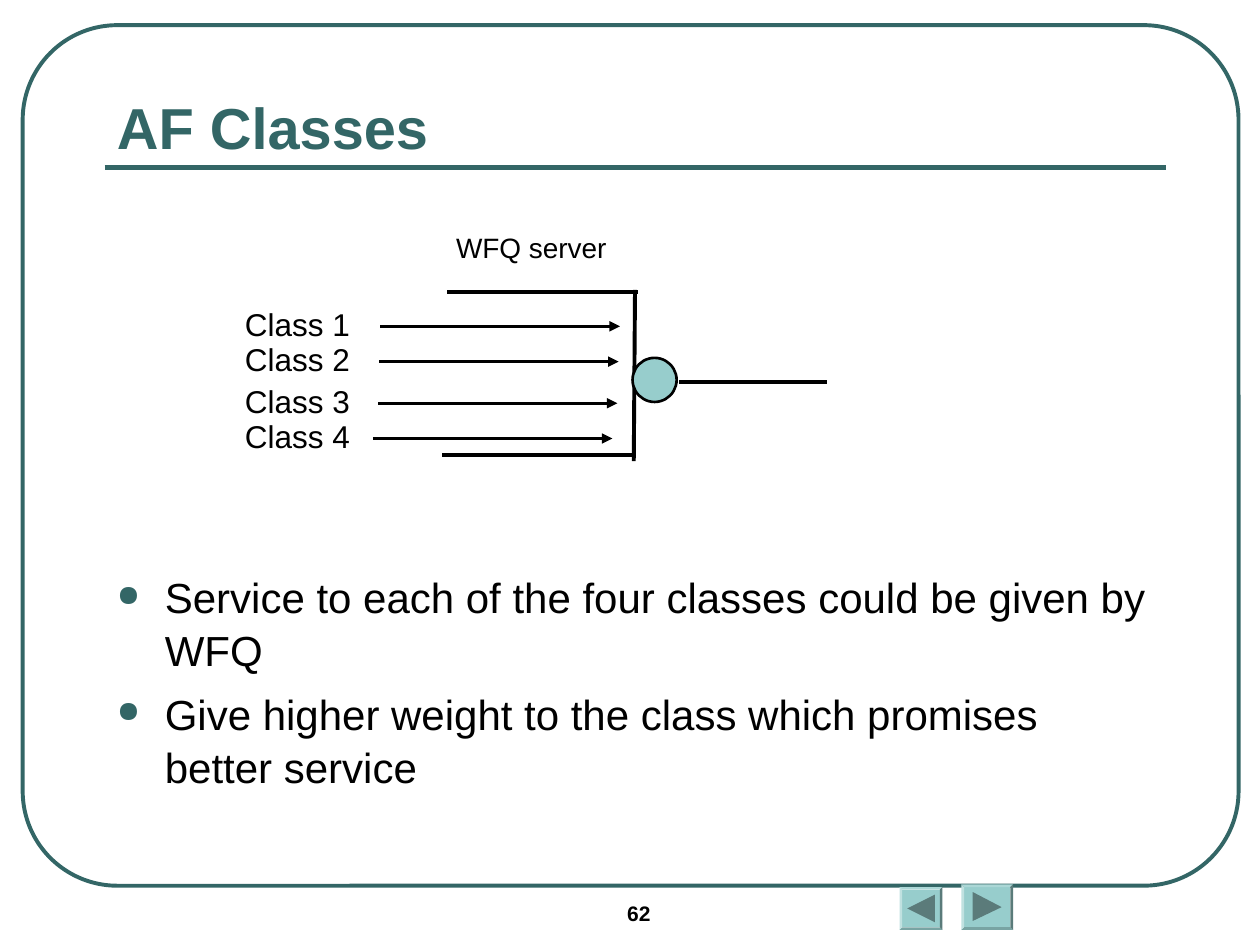
from lxml.etree import SubElement
from pptx import Presentation
from pptx.dml.color import RGBColor
from pptx.enum.shapes import MSO_CONNECTOR, MSO_SHAPE
from pptx.enum.text import MSO_ANCHOR as ANCHOR, PP_ALIGN as ALIGN
from pptx.oxml.ns import qn
from pptx.util import Inches, Pt

COLORS = {"teal": "336666", "aqua": "97CDCC", "icon": "5B7B7A", "ink": "000000"}
COLS, ROWS = 100, 75


def rgb(name):
    return RGBColor.from_string(COLORS[name])


class Deck:
    font = "Arial"

    def __init__(self, width, height):
        self.prs = Presentation()
        self.prs.slide_width = Inches(width)
        self.prs.slide_height = Inches(height)
        self.s = self.prs.slides.add_slide(self.prs.slide_layouts[6])

    def x(self, cols):
        return round(self.prs.slide_width * cols / COLS)

    def y(self, rows):
        return round(self.prs.slide_height * rows / ROWS)

    def box(self, left, top, width, height):
        return self.x(left), self.y(top), self.x(width), self.y(height)

    def paint(self, sp, fill=None, line=None, weight=1.5):
        sp.shadow.inherit = False
        if fill:
            sp.fill.solid()
            sp.fill.fore_color.rgb = rgb(fill)
        else:
            sp.fill.background()
        if line:
            sp.line.color.rgb = rgb(line)
            sp.line.width = Pt(weight)
        else:
            sp.line.fill.background()

    def shape(self, kind, box, adj=None, **style):
        sp = self.s.shapes.add_shape(kind, *self.box(*box))
        if adj is not None:
            sp.adjustments[0] = adj
        self.paint(sp, **style)

    def polygon(self, points, **style):
        start, *rest = [(self.x(a), self.y(b)) for a, b in points]
        builder = self.s.shapes.build_freeform(*start)
        builder.add_line_segments(rest, close=True)
        self.paint(builder.convert_to_shape(), **style)

    def line(self, x1, y1, x2, y2, color="ink", weight=2.25, arrow=False):
        cn = self.s.shapes.add_connector(
            MSO_CONNECTOR.STRAIGHT, self.x(x1), self.y(y1), self.x(x2), self.y(y2))
        cn.line.color.rgb = rgb(color)
        cn.line.width = Pt(weight)
        if arrow:
            SubElement(cn.line._get_or_add_ln(), qn("a:tailEnd"), type="triangle")
        SubElement(cn._element.spPr, qn("a:effectLst"))

    def bullet(self, p):
        pPr = p._p.get_or_add_pPr()
        pPr.set("marL", str(Inches(0.38)))
        pPr.set("indent", str(-Inches(0.38)))
        color = SubElement(pPr, qn("a:buClr"))
        SubElement(color, qn("a:srgbClr"), val=COLORS["teal"])
        SubElement(pPr, qn("a:buSzPct"), val="70000")
        SubElement(pPr, qn("a:buChar"), char="●")

    def text(self, box, lines, size, color="ink", bold=False, align=ALIGN.LEFT,
             anchor=ANCHOR.TOP, inset=True, wrap=True, bullets=False):
        tf = self.s.shapes.add_textbox(*self.box(*box)).text_frame
        tf.word_wrap = wrap
        tf.vertical_anchor = anchor
        if not inset:
            tf.margin_left = tf.margin_right = tf.margin_top = tf.margin_bottom = 0
        for i, line in enumerate(lines):
            p = tf.add_paragraph() if i else tf.paragraphs[0]
            p.alignment = align
            if bullets:
                p.line_spacing = 1.05
                p.space_before = Pt(6)
                self.bullet(p)
            r = p.add_run()
            r.text = line
            r.font.name = self.font
            r.font.size = Pt(size)
            r.font.bold = bold
            r.font.color.rgb = rgb(color)

    def button(self, box, icon):
        self.shape(MSO_SHAPE.BEVEL, box, adj=0.06, fill="aqua")
        self.polygon(icon, fill="icon")


def main():
    d = Deck(10, 7.5)
    d.shape(MSO_SHAPE.ROUNDED_RECTANGLE, (1.8, 2, 96.5, 68.3), adj=0.11,
            line="teal", weight=2.25)
    d.line(8.3, 13.3, 92.5, 13.3, color="teal", weight=3)
    d.button((71.4, 70.4, 3.4, 3.4), [(72, 72.1), (74.2, 71), (74.2, 73.2)])
    d.button((76.3, 70.2, 4.1, 3.6), [(77.2, 70.8), (79.5, 72), (77.2, 73.1)])
    d.text((48.8, 71, 11.7, 3.3), ["62"], 12, bold=True)
    d.text((8.3, 5.8, 84.2, 7.5), ["AF Classes"], 33, color="teal", bold=True,
           anchor=ANCHOR.BOTTOM)
    d.text((8.3, 44.7, 84.2, 20.3),
           ["Service to each of the four classes could be given by WFQ",
            "Give higher weight to the class which promises better service"],
           24, bullets=True)

    d.text((36.2, 18.3, 12, 2.7), ["WFQ server"], 16, inset=False, wrap=False)
    d.line(35.5, 23.2, 50.6, 23.2)
    d.line(35.1, 36.1, 50.2, 36.1)
    d.line(50.4, 23, 50.3, 36.6)
    d.shape(MSO_SHAPE.OVAL, (50.2, 28.4, 3.5, 3.5), fill="aqua", line="ink")
    d.line(53.9, 30.3, 65.6, 30.3)

    queues = [(24.2, 30.2), (27, 30.1), (30.3, 30), (33.1, 29.6)]
    for number, (top, start) in enumerate(queues, 1):
        d.text((17.7, top, 11.8, 3), [f"Class {number}"], 18,
               align=ALIGN.CENTER, inset=False)
        d.line(start, top + 1.7, start + 19, top + 1.7, weight=1.5, arrow=True)

    d.prs.save("out.pptx")


if __name__ == "__main__":
    main()
